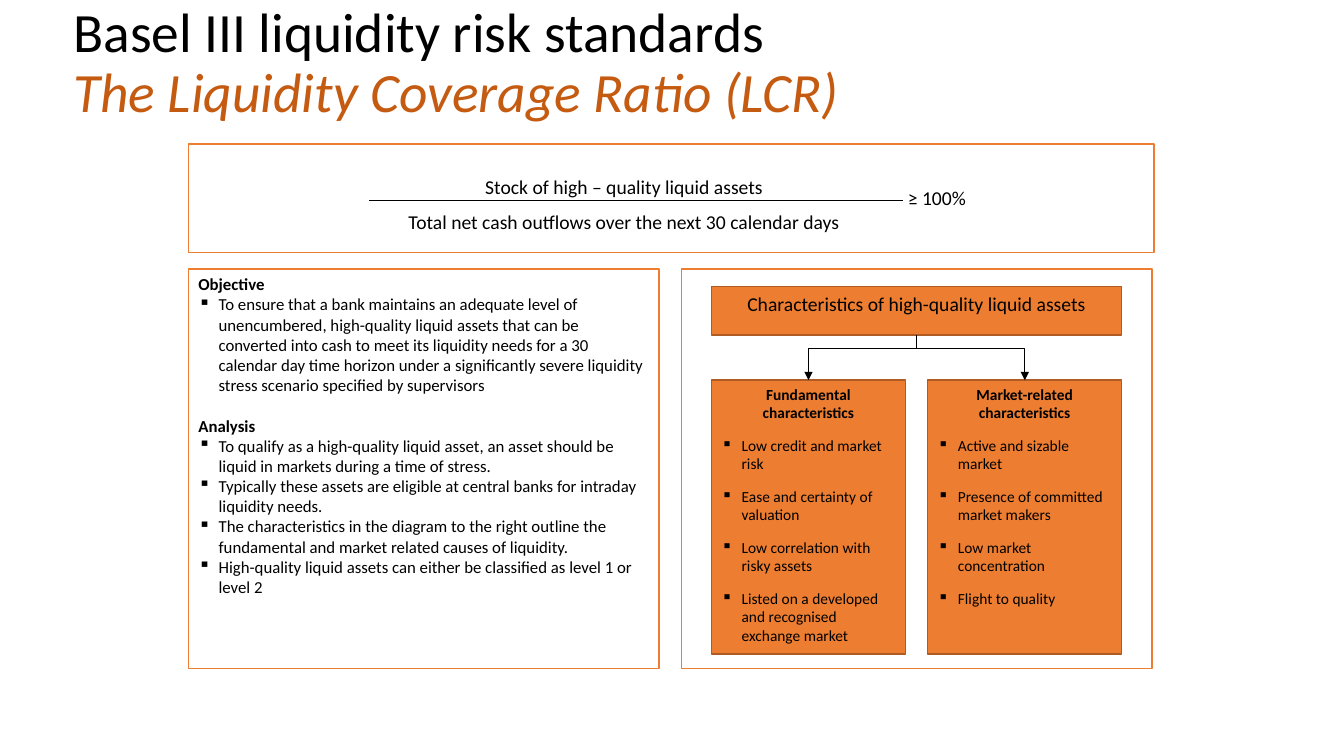
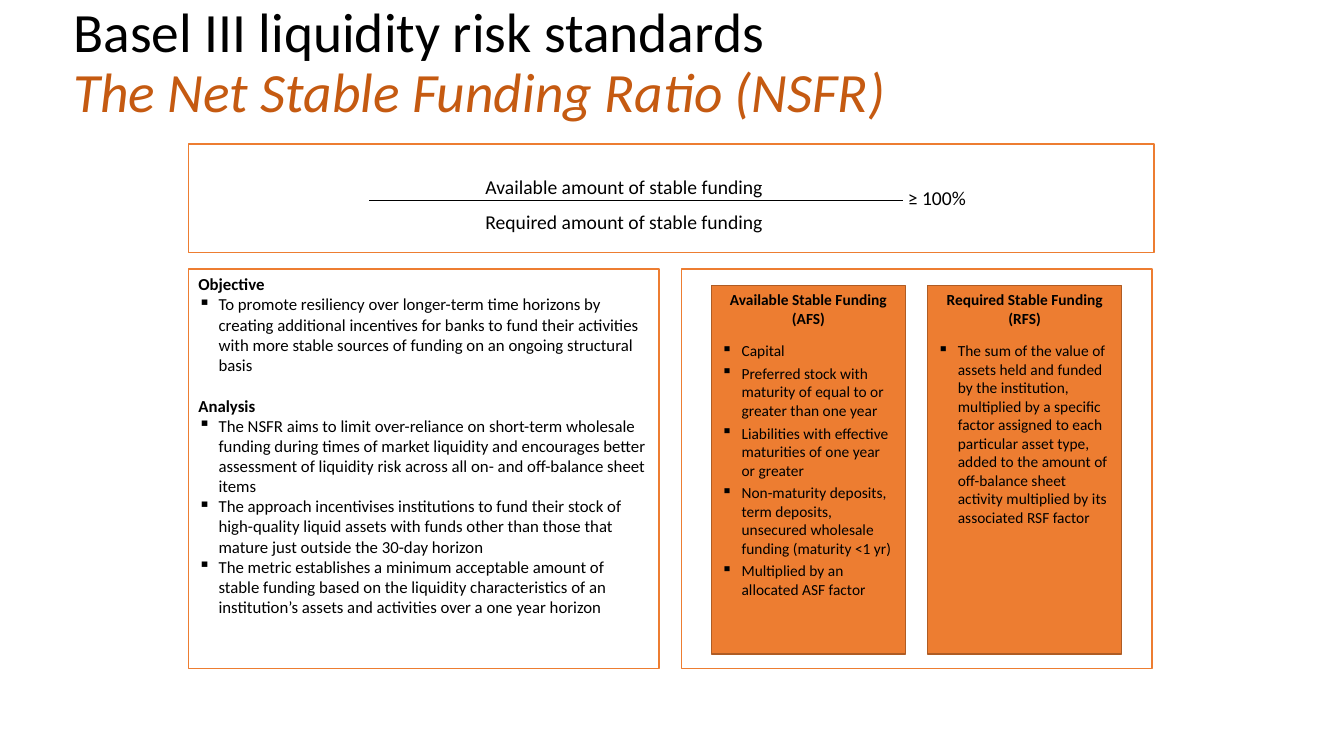
from collections import namedtuple

from lxml import etree
from pptx import Presentation
from pptx.dml.color import RGBColor
from pptx.enum.shapes import MSO_CONNECTOR, MSO_SHAPE
from pptx.enum.text import MSO_ANCHOR, PP_ALIGN
from pptx.oxml.ns import qn
from pptx.util import Cm, Pt

RECTANGLE = MSO_SHAPE.RECTANGLE
STRAIGHT, ELBOW = MSO_CONNECTOR.STRAIGHT, MSO_CONNECTOR.ELBOW
TOP, MIDDLE = MSO_ANCHOR.TOP, MSO_ANCHOR.MIDDLE
LEFT, CENTER = PP_ALIGN.LEFT, PP_ALIGN.CENTER

COLORS = {
    "paper": "FFFFFF",
    "ink": "000000",
    "accent": "ED7D31",
    "accent_edge": "AF5C24",
    "subtitle": "C55A11",
}
FONT = "Calibri"
INDENT = Cm(0.51)

Box = namedtuple("Box", "left top width height")
TITLE_BOX = Box(1.6, 0.43, 26.54, 2.39)
FORMULA_BOX = Box(4.75, 3.63, 24.33, 2.74)
NOTES_BOX = Box(4.75, 6.78, 11.86, 10.06)
DIAGRAM_BOX = Box(17.17, 6.78, 11.86, 10.06)


def color(name):
    return RGBColor.from_string(COLORS[name])


def lengths(box):
    return [Cm(value) for value in box]


def style(paragraph, size, bold=False, align=LEFT, after=0):
    paragraph.alignment = align
    paragraph.space_after = Pt(after)
    for run in paragraph.runs:
        run.font.name = FONT
        run.font.size = Pt(size)
        run.font.bold = bold
        run.font.color.rgb = color("ink")


def add_bullet(paragraph):
    properties = paragraph._p.get_or_add_pPr()
    properties.set("marL", str(INDENT))
    properties.set("indent", str(-INDENT))
    etree.SubElement(properties, qn("a:buChar")).set("char", "▪")


def add_bullets(frame, texts, size, after=0):
    for text in texts:
        paragraph = frame.add_paragraph()
        paragraph.text = text
        add_bullet(paragraph)
        style(paragraph, size, after=after)


def add_panel(slide, box, fill="paper", edge="accent"):
    panel = slide.shapes.add_shape(RECTANGLE, *lengths(box))
    panel.shadow.inherit = False
    panel.fill.solid()
    panel.fill.fore_color.rgb = color(fill)
    panel.line.color.rgb = color(edge)
    panel.line.width = Pt(1)
    panel.text_frame.word_wrap = True
    panel.text_frame.vertical_anchor = TOP
    return panel


def add_label(slide, box, text):
    frame = slide.shapes.add_textbox(*lengths(box)).text_frame
    frame.word_wrap = True
    frame.vertical_anchor = MIDDLE
    frame.text = text
    return frame


def add_line(slide, kind, ends, width):
    line = slide.shapes.add_connector(kind, *lengths(ends))
    line.line.color.rgb = color("ink")
    line.line.width = Pt(width)
    etree.SubElement(line._element.spPr, qn("a:effectLst"))
    return line


def add_title(slide, box, subtitle):
    frame = add_label(slide, box, f"Basel III liquidity risk standards\v{subtitle}")
    paragraph = frame.paragraphs[0]
    paragraph.line_spacing = 0.9
    style(paragraph, 39.6)
    subtitle_font = paragraph.runs[1].font
    subtitle_font.italic = True
    subtitle_font.color.rgb = color("subtitle")


def add_formula(slide, box, numerator, denominator):
    add_panel(slide, box)
    top = box.top + 0.74
    threshold = add_label(slide, Box(box.left + 17.88, top, 2.74, 1.24), "≥ 100%")
    style(threshold.paragraphs[0], 14)
    fraction = add_label(slide, Box(box.left + 3.73, top, 14.5, 1.24),
                         f"{numerator}\n{denominator}")
    for paragraph in fraction.paragraphs:
        paragraph.line_spacing = 1.5
        style(paragraph, 14, align=CENTER)
    bar_y = box.top + 1.42
    add_line(slide, STRAIGHT, (box.left + 4.55, bar_y, box.left + 18.01, bar_y), 1.25)


def add_notes(slide, box, objective, analysis):
    frame = add_panel(slide, box).text_frame
    frame.text = "Objective"
    style(frame.paragraphs[0], 12, bold=True)
    add_bullets(frame, [objective], 12)
    heading = frame.add_paragraph()
    heading.text = "Analysis"
    heading.space_before = Pt(14.6)
    style(heading, 12, bold=True)
    add_bullets(frame, analysis, 12)


def add_branch(slide, parent, child):
    start_x, start_y = parent.left + parent.width // 2, parent.top + parent.height
    end_x, end_y = child.left + child.width // 2, child.top
    branch = add_line(slide, ELBOW, (0, 0, 1, 1), 0.75)
    branch.begin_connect(parent, 2)
    branch.end_connect(child, 0)

    drop, reach = end_y - start_y, abs(end_x - start_x)
    branch.left = (start_x + end_x - drop) // 2
    branch.top = (start_y + end_y - reach) // 2
    branch.width, branch.height = drop, reach
    to_right = end_x > start_x
    properties = branch._element.spPr
    transform = properties.find(qn("a:xfrm"))
    transform.set("rot", "16200000" if to_right else "5400000")
    transform.set("flipH", "1" if to_right else "0")
    transform.set("flipV", "0")

    geometry = properties.find(qn("a:prstGeom"))
    adjustments = geometry.find(qn("a:avLst"))
    if adjustments is None:
        adjustments = etree.SubElement(geometry, qn("a:avLst"))
    bend = etree.SubElement(adjustments, qn("a:gd"))
    bend.set("name", "adj1")
    bend.set("fmla", "val 31000")
    outline = properties.find(qn("a:ln"))
    etree.SubElement(outline, qn("a:tailEnd")).set("type", "triangle")


def add_diagram(slide, box, columns, after, heading=None):
    add_panel(slide, box)
    side, bottom, gap = 0.76, 0.36, 0.56
    inner_width = box.width - 2 * side
    column_width = (inner_width - gap) / 2
    column_top = box.top + (2.8 if heading else 0.41)
    column_height = box.top + box.height - bottom - column_top

    cards = []
    for index, (title, points) in enumerate(columns):
        left = box.left + side + index * (column_width + gap)
        card = add_panel(slide, Box(left, column_top, column_width, column_height),
                         "accent", "accent_edge")
        card.text_frame.text = title
        style(card.text_frame.paragraphs[0], 11, bold=True, align=CENTER, after=10)
        add_bullets(card.text_frame, points, 11, after)
        cards.append(card)

    if heading:
        parent = add_panel(slide, Box(box.left + side, box.top + 0.44, inner_width, 1.22),
                           "accent", "accent_edge")
        parent.text_frame.text = heading
        style(parent.text_frame.paragraphs[0], 14, align=CENTER, after=10)
        for card in cards:
            add_branch(slide, parent, card)


def add_ratio_slide(deck, subtitle, formula, objective, analysis, diagram):
    slide = deck.slides.add_slide(deck.slide_layouts[6])
    add_title(slide, TITLE_BOX, subtitle)
    add_formula(slide, FORMULA_BOX, *formula)
    add_notes(slide, NOTES_BOX, objective, analysis)
    add_diagram(slide, DIAGRAM_BOX, **diagram)


RATIOS = [
    {
        "subtitle": "The Liquidity Coverage Ratio (LCR)",
        "formula": ("Stock of high – quality liquid assets",
                    "Total net cash outflows over the next 30 calendar days"),
        "objective": "To ensure that a bank maintains an adequate level of unencumbered, "
                     "high-quality liquid assets that can be converted into cash to meet its "
                     "liquidity needs for a 30 calendar day time horizon under a significantly "
                     "severe liquidity stress scenario specified by supervisors",
        "analysis": [
            "To qualify as a high-quality liquid asset, an asset should be liquid in markets "
            "during a time of stress.",
            "Typically these assets are eligible at central banks for intraday liquidity needs.",
            "The characteristics in the diagram to the right outline the fundamental and "
            "market related causes of liquidity.",
            "High-quality liquid assets can either be classified as level 1 or level 2",
        ],
        "diagram": {
            "heading": "Characteristics of high-quality liquid assets",
            "after": 10,
            "columns": [
                ("Fundamental characteristics", [
                    "Low credit and market risk",
                    "Ease and certainty of valuation",
                    "Low correlation with risky assets",
                    "Listed on a developed and recognised exchange market",
                ]),
                ("Market-related characteristics", [
                    "Active and sizable market",
                    "Presence of committed market makers",
                    "Low market concentration",
                    "Flight to quality",
                ]),
            ],
        },
    },
    {
        "subtitle": "The Net Stable Funding Ratio (NSFR)",
        "formula": ("Available amount of stable funding", "Required amount of stable funding"),
        "objective": "To promote resiliency over longer-term time horizons by creating "
                     "additional incentives for banks to fund their activities with more stable "
                     "sources of funding on an ongoing structural basis",
        "analysis": [
            "The NSFR aims to limit over-reliance on short-term wholesale funding during times "
            "of market liquidity and encourages better assessment of liquidity risk across all "
            "on- and off-balance sheet items",
            "The approach incentivises institutions to fund their stock of high-quality liquid "
            "assets with funds other than those that mature just outside the 30-day horizon",
            "The metric establishes a minimum acceptable amount of stable funding based on the "
            "liquidity characteristics of an institution’s assets and activities over a one "
            "year horizon",
        ],
        "diagram": {
            "after": 3,
            "columns": [
                ("Available Stable Funding (AFS)", [
                    "Capital",
                    "Preferred stock with maturity of equal to or greater than one year",
                    "Liabilities with effective maturities of one year or greater",
                    "Non-maturity deposits, term deposits, unsecured wholesale funding "
                    "(maturity <1 yr)",
                    "Multiplied by an allocated ASF factor",
                ]),
                ("Required Stable Funding (RFS)", [
                    "The sum of the value of assets held and funded by the institution, "
                    "multiplied by a specific factor assigned to each particular asset type, "
                    "added to the amount of off-balance sheet activity multiplied by its "
                    "associated RSF factor",
                ]),
            ],
        },
    },
]


def main():
    deck = Presentation()
    deck.slide_width, deck.slide_height = Cm(33.87), Cm(19.05)
    for ratio in RATIOS:
        add_ratio_slide(deck, **ratio)
    deck.save("out.pptx")


if __name__ == "__main__":
    main()
